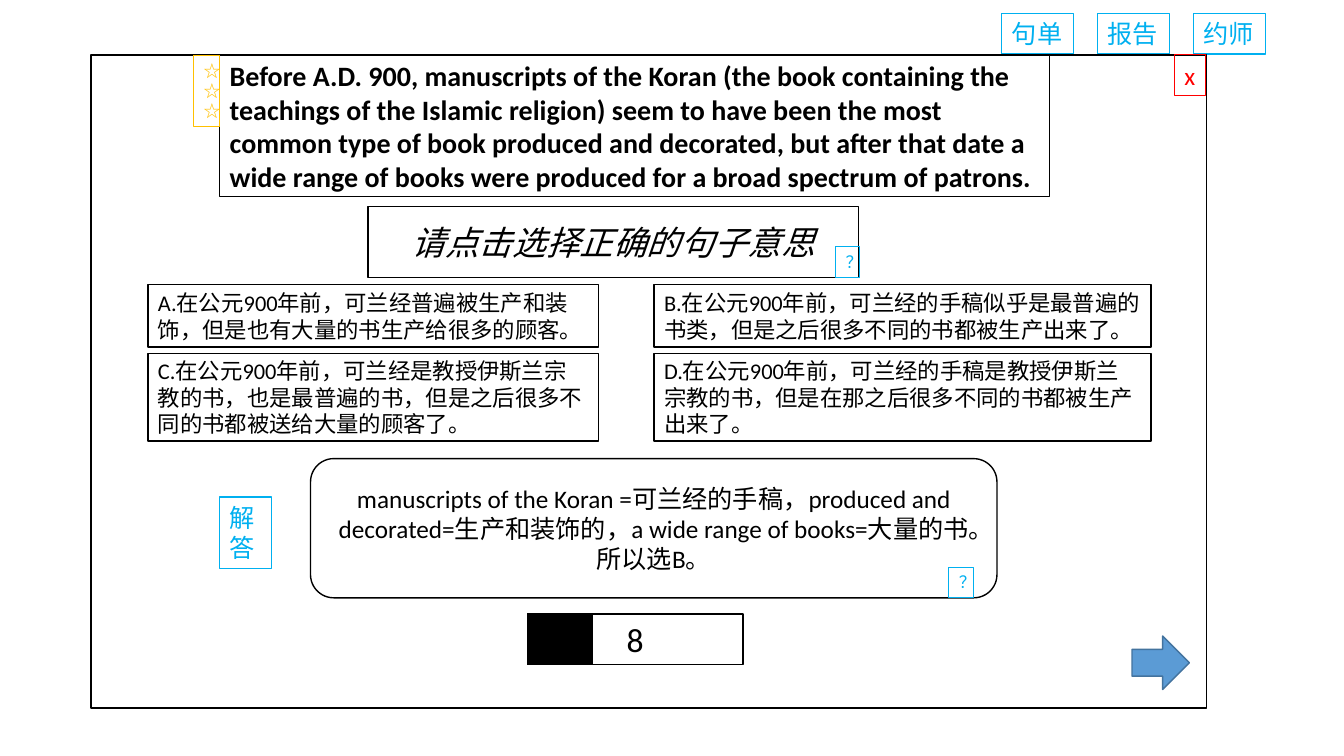
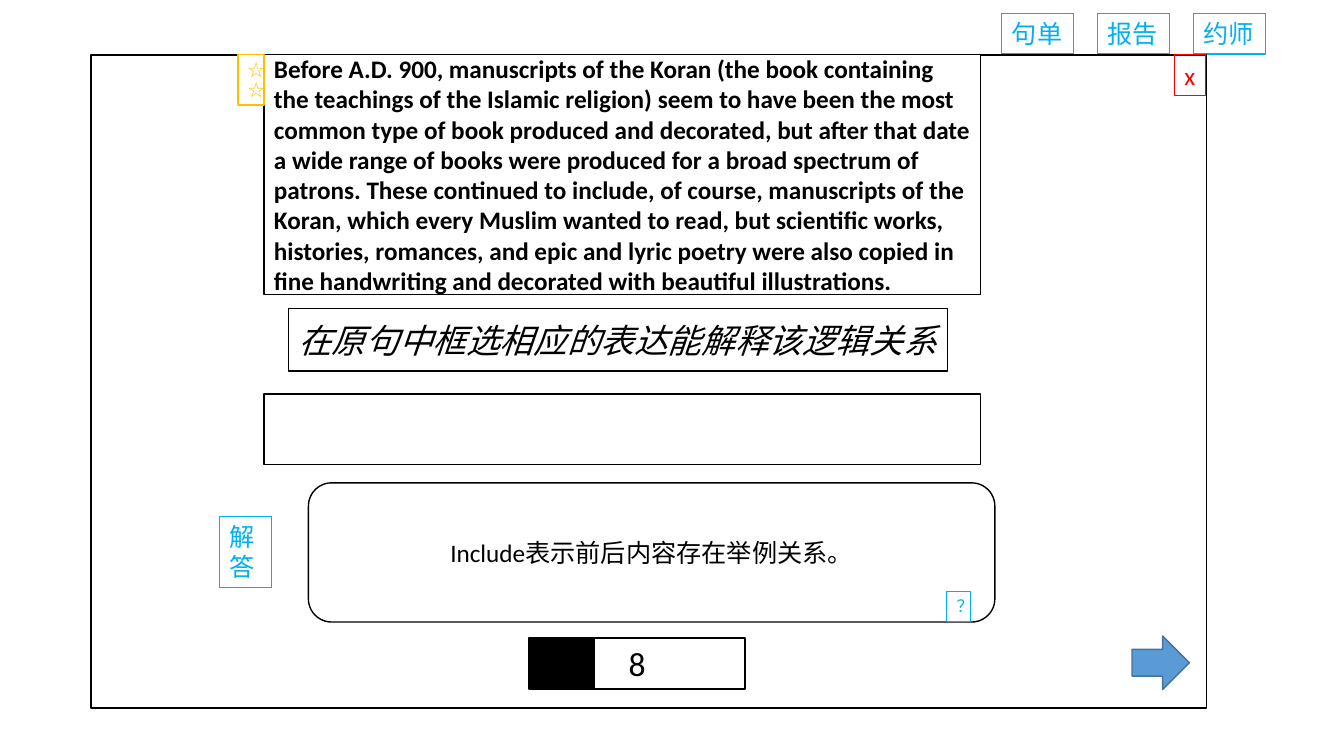
from lxml import etree
from pptx import Presentation
from pptx.dml.color import RGBColor
from pptx.enum import shapes, text
from pptx.oxml import ns
from pptx.util import Pt

BLACK, WHITE, CYAN, RED, GOLD = "000000", "FFFFFF", "00B0F0", "FF0000", "FFC000"
BLUE, DARK_BLUE = "5B9BD5", "43739E"
LATIN, CJK = "Calibri", "Noto Sans CJK SC"
KIND = shapes.MSO_SHAPE
LEFT, CENTER = text.PP_ALIGN.LEFT, text.PP_ALIGN.CENTER
TOP, MIDDLE = text.MSO_ANCHOR.TOP, text.MSO_ANCHOR.MIDDLE
GROW = text.MSO_AUTO_SIZE.SHAPE_TO_FIT_TEXT
STAR_WIDTH = 18.7

KORAN = (
    "Before A.D. 900, manuscripts of the Koran (the book containing the teachings "
    "of the Islamic religion) seem to have been the most common type of book "
    "produced and decorated, but after that date a wide range of books were "
    "produced for a broad spectrum of patrons."
)
CONTINUED = (
    " These continued to include, of course, manuscripts of the Koran, which every "
    "Muslim wanted to read, but scientific works, histories, romances, and epic "
    "and lyric poetry were also copied in fine handwriting and decorated with "
    "beautiful illustrations."
)
CHOICES = (
    "A.在公元900年前，可兰经普遍被生产和装饰，但是也有大量的书生产给很多的顾客。",
    "B.在公元900年前，可兰经的手稿似乎是最普遍的书类，但是之后很多不同的书都被生产出来了。",
    "C.在公元900年前，可兰经是教授伊斯兰宗教的书，也是最普遍的书，但是之后很多不同的书都被送给大量的顾客了。",
    "D.在公元900年前，可兰经的手稿是教授伊斯兰宗教的书，但是在那之后很多不同的书都被生产出来了。",
)


def colour(value):
    return RGBColor.from_string(value)


def apply(target, values):
    for name, value in values.items():
        setattr(target, name, value)


def write(sp, words, ink, size, align=LEFT, face=LATIN, frame=None, **style):
    tf = sp.text_frame
    tf.text = words
    apply(tf, {"word_wrap": True, "vertical_anchor": MIDDLE, **(frame or {})})
    for p in tf.paragraphs:
        p.alignment = align
        for r in p.runs:
            apply(r.font, {"name": face, "size": Pt(size), **style})
            r.font.color.rgb = colour(ink)
            ea = etree.SubElement(r.font._element, ns.qn("a:ea"))
            ea.set("typeface", CJK)


def box(s, at, fill=WHITE, line=BLACK, weight=1, kind=KIND.RECTANGLE):
    sp = s.shapes.add_shape(kind, *map(Pt, at))
    sp.shadow.inherit = False
    if fill:
        sp.fill.solid()
        sp.fill.fore_color.rgb = colour(fill)
    else:
        sp.fill.background()
    sp.line.color.rgb = colour(line)
    sp.line.width = Pt(weight)
    return sp


def tag(s, at, words, ink=CYAN, size=18, wrap=True):
    sp = box(s, at, None, ink, 0.75)
    write(sp, words, ink, size,
          frame={"auto_size": GROW, "vertical_anchor": TOP, "word_wrap": wrap})


def hint(s, left, top):
    tag(s, (left, top, 17.3, 21.8), "？", size=12)


def page(prs):
    s = prs.slides.add_slide(prs.slide_layouts[6])
    for i, words in enumerate(("句单", "报告", "约师")):
        tag(s, (715.7 + 68.5 * i, 9.6, 51.1, 29), words, wrap=False)
    box(s, (64.9, 39.2, 797, 466.6))
    tag(s, (839, 39.2, 22.4, 29), "x", RED, wrap=False)
    box(s, (808.6, 454.3, 41, 38.2), BLUE, DARK_BLUE, kind=KIND.RIGHT_ARROW)
    return s


def sentence(s, at, words, size, stars):
    write(box(s, at), words, BLACK, size, bold=True)
    left, top = at[:2]
    rating = box(s, (left - STAR_WIDTH, top, STAR_WIDTH, 7 + 14.6 * stars), line=GOLD)
    write(rating, "☆" * stars, GOLD, 12, CENTER, CJK,
          frame={"auto_size": GROW, "vertical_anchor": TOP})


def prompt(s, at, words, align=LEFT):
    write(box(s, at), words, BLACK, 24, align, italic=True)


def choices(s):
    columns = ((105.8, 321.8), (467.3, 355))
    rows = ((203.4, 44.6), (252.4, 62.6))
    for i, words in enumerate(CHOICES):
        (left, width), (top, height) = columns[i % 2], rows[i // 2]
        write(box(s, (left, top, width, height)), words, BLACK, 16)


def explanation(s, left, top, label_top, words):
    tag(s, (157, label_top, 36.7, 51), "解\n答")
    bubble = box(s, (left, top, 490.3, 99.4), kind=KIND.ROUNDED_RECTANGLE)
    write(bubble, words, BLACK, 18, CENTER)
    hint(s, left + 456, top + 77.4)


def counter(s, left, top, number):
    sp = box(s, (left, top, 154.1, 36.4))
    write(sp, number, BLACK, 24, CENTER,
          frame={"auto_size": GROW, "vertical_anchor": TOP})
    box(s, (left, top, 46.8, 36.4), BLACK)


def meaning_slide(prs):
    s = page(prs)
    sentence(s, (157, 39.6, 592.6, 100.8), KORAN, 20, 3)
    prompt(s, (262.8, 147.3, 350.6, 51), "请点击选择正确的句子意思", CENTER)
    hint(s, 596.9, 176.4)
    choices(s)
    explanation(s, 221.8, 327.6, 355,
                "manuscripts of the Koran =可兰经的手稿，produced and decorated="
                "生产和装饰的，a wide range of books=大量的书。所以选B。")
    counter(s, 376.6, 438.5, "8")


def logic_slide(prs):
    s = page(prs)
    sentence(s, (188.6, 38.9, 511.9, 171.4), KORAN + CONTINUED, 18, 2)
    prompt(s, (206, 220.3, 471, 44.6), "在原句中框选相应的表达能解释该逻辑关系")
    box(s, (188.6, 281.5, 511.9, 50.4))
    explanation(s, 220.3, 344.9, 368.6, "Include表示前后内容存在举例关系。")
    counter(s, 378, 455.8, "8")


def main():
    prs = Presentation()
    apply(prs, {"slide_width": Pt(960), "slide_height": Pt(540)})
    meaning_slide(prs)
    logic_slide(prs)
    prs.save("out.pptx")


if __name__ == "__main__":
    main()
